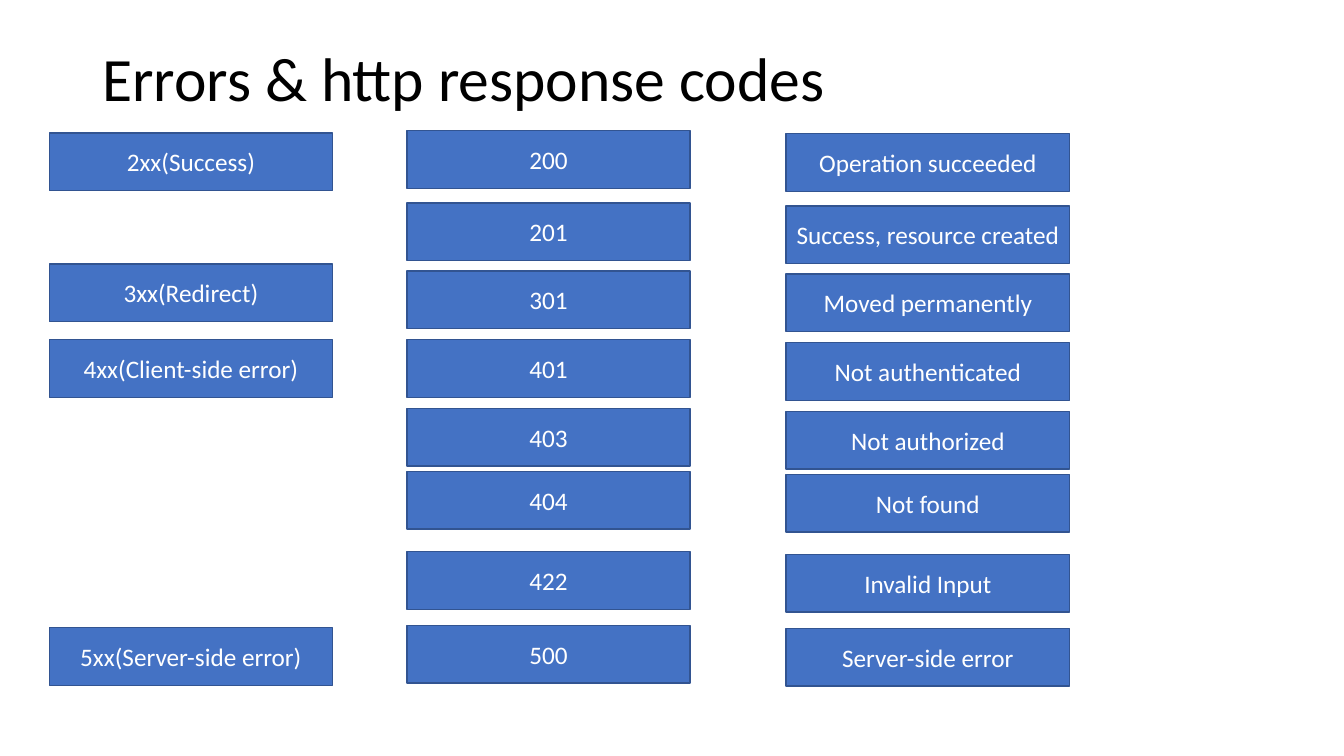
import pptx
import pptx.dml.color
import pptx.enum.shapes
import pptx.enum.text
import pptx.util

Pt = pptx.util.Pt
FONT = "Calibri"
BOX_WIDTH, BOX_HEIGHT = 202.4, 41.2
MEANING_DROP = 2.1  # meanings sit slightly lower than their codes

CLASSES = [
    (95, "2xx(Success)"),
    (188.6, "3xx(Redirect)"),
    (242.7, "4xx(Client-side error)"),
    (448.4, "5xx(Server-side error)"),
]
RESPONSES = [
    (93.3, "200", "Operation succeeded"),
    (144.9, "201", "Success, resource created"),
    (193.5, "301", "Moved permanently"),
    (242.7, "401", "Not authenticated"),
    (291.7, "403", "Not authorized"),
    (336.7, "404", "Not found"),
    (394, "422", "Invalid Input"),
    (446.7, "500", "Server-side error"),
]


def color(hex_string):
    return pptx.dml.color.RGBColor.from_string(hex_string)


def style_text(shape, text, size, hex_string, alignment):
    frame = shape.text_frame
    frame.word_wrap = True
    frame.vertical_anchor = pptx.enum.text.MSO_ANCHOR.MIDDLE
    paragraph = frame.paragraphs[0]
    paragraph.text = text
    paragraph.alignment = alignment
    paragraph.font.name = FONT
    paragraph.font.size = Pt(size)
    paragraph.font.color.rgb = color(hex_string)
    return paragraph


def add_title(slide, text, left, top, width, height):
    shape = slide.shapes.add_textbox(Pt(left), Pt(top), Pt(width), Pt(height))
    paragraph = style_text(shape, text, 44, "000000", pptx.enum.text.PP_ALIGN.LEFT)
    paragraph.line_spacing = 0.9


def add_box(slide, text, left, top):
    shape = slide.shapes.add_shape(
        pptx.enum.shapes.MSO_SHAPE.RECTANGLE,
        Pt(left), Pt(top), Pt(BOX_WIDTH), Pt(BOX_HEIGHT))
    shape.shadow.inherit = False
    shape.fill.solid()
    shape.fill.fore_color.rgb = color("4472C4")
    shape.line.color.rgb = color("325491")
    shape.line.width = Pt(1)
    style_text(shape, text, 18, "FFFFFF", pptx.enum.text.PP_ALIGN.CENTER)


def add_column(slide, left, entries):
    """Stack boxes at one left edge; entries are (top, text) pairs."""
    for top, text in entries:
        add_box(slide, text, left, top)


def main():
    presentation = pptx.Presentation()
    presentation.slide_width, presentation.slide_height = Pt(960), Pt(540)
    slide = presentation.slides.add_slide(presentation.slide_layouts[6])
    add_title(slide, "Errors & http response codes", 66, 28.75, 828, 59)
    add_column(slide, 35.2, CLASSES)
    add_column(slide, 290.6, [(top, code) for top, code, _ in RESPONSES])
    add_column(slide, 561.6, [(top + MEANING_DROP, meaning)
                              for top, _, meaning in RESPONSES])
    presentation.save("out.pptx")


if __name__ == "__main__":
    main()
